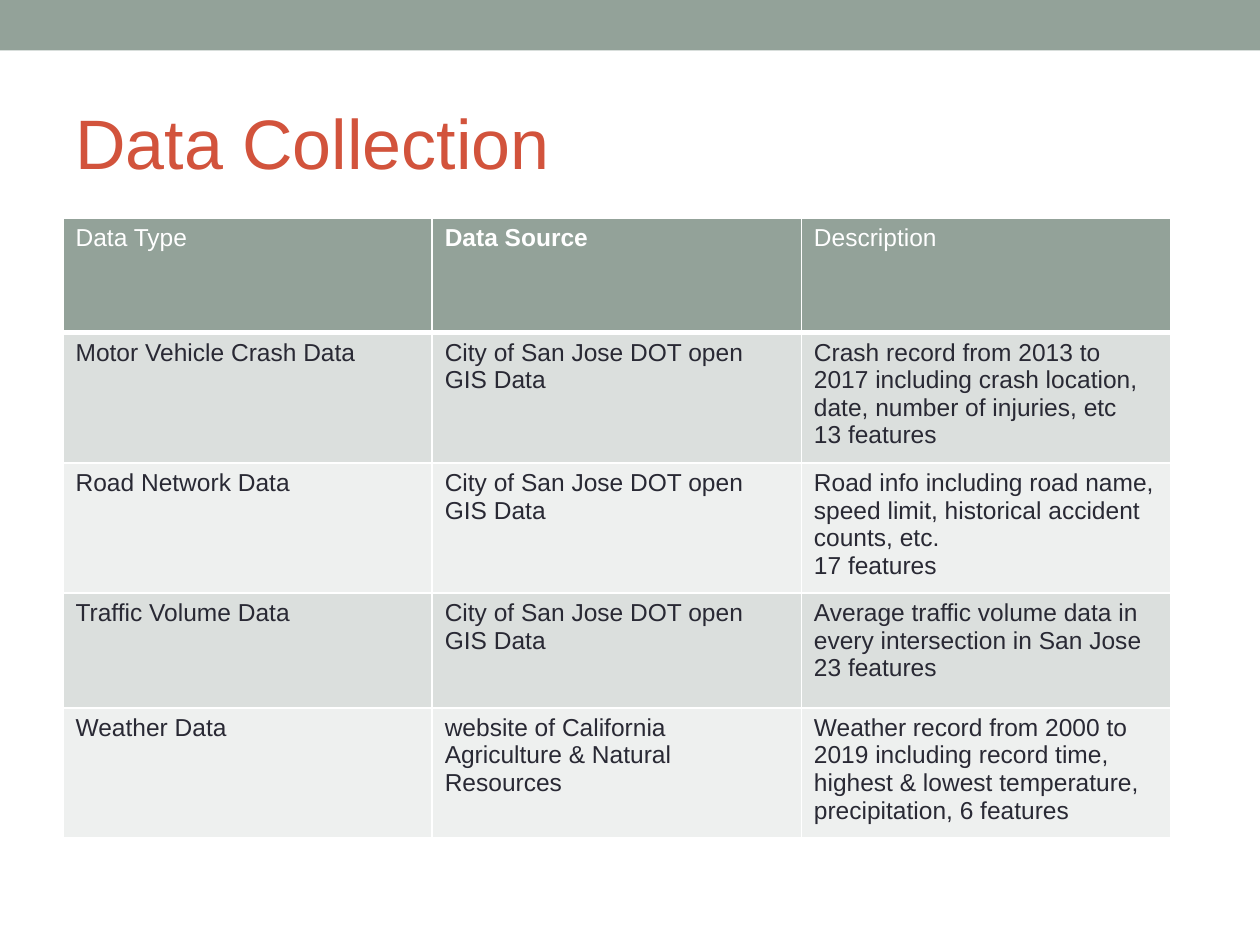
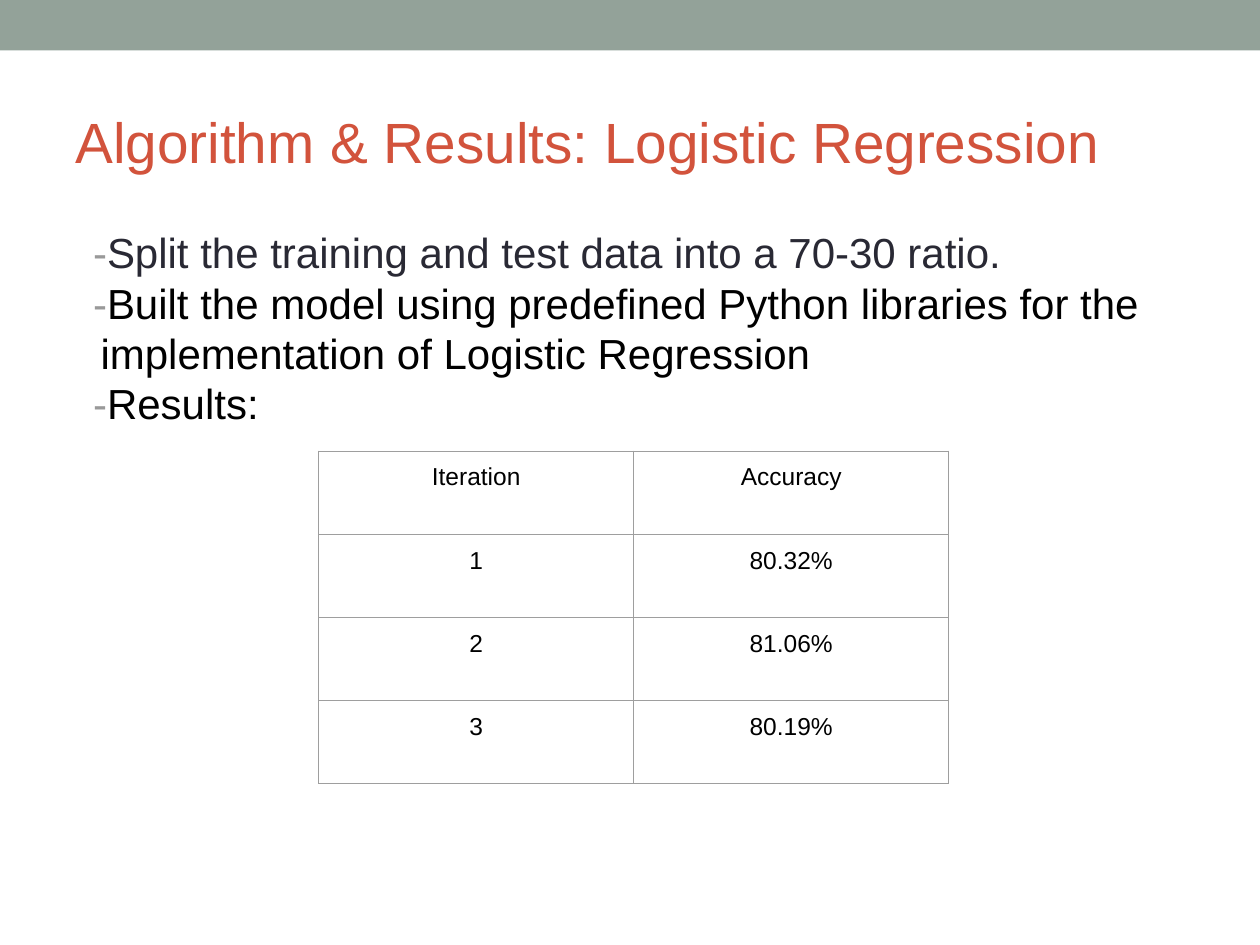
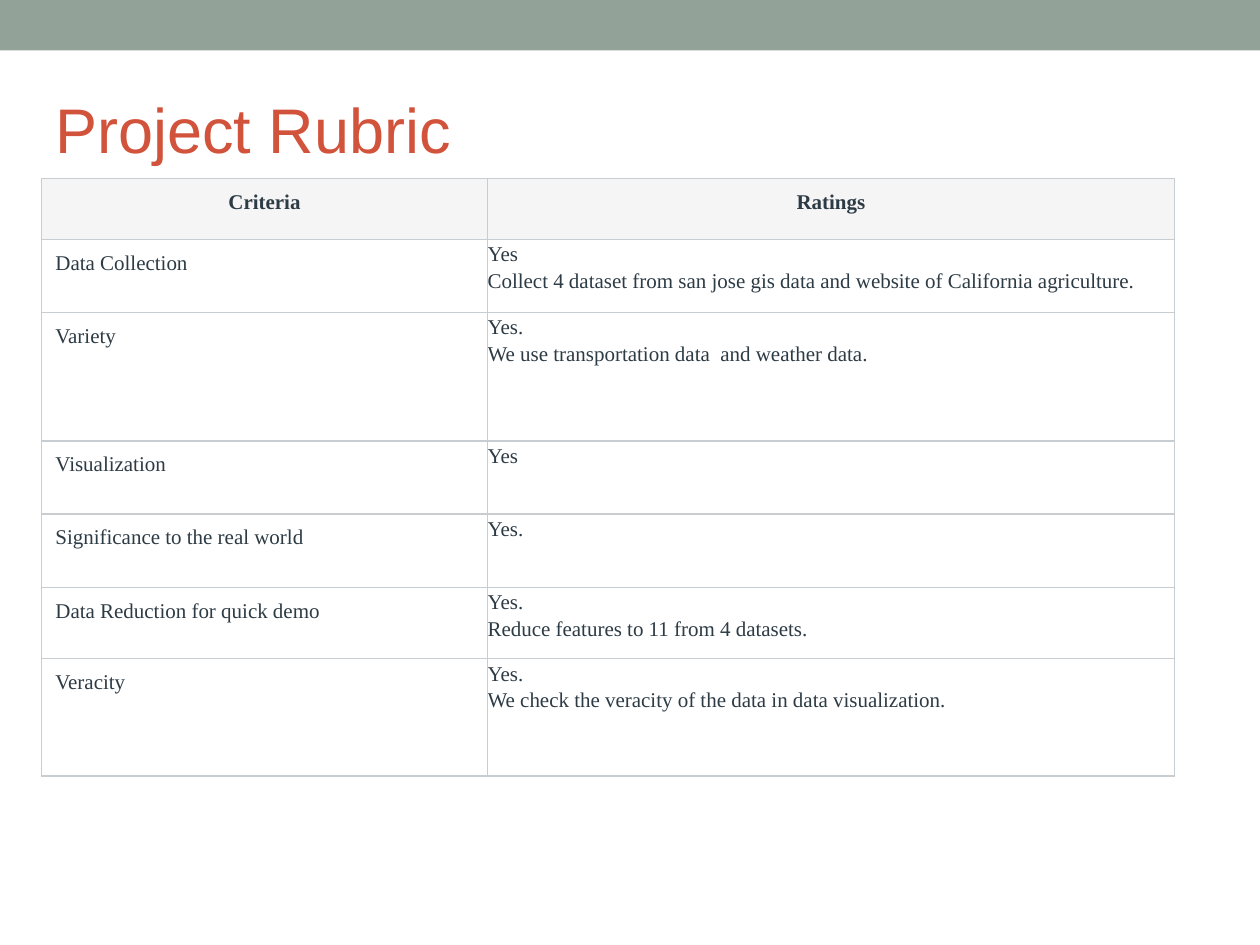
import pptx
import pptx.util
import pptx.dml.color
import pptx.enum.shapes
import pptx.enum.text
import pptx.oxml
import pptx.oxml.ns

Inches = pptx.util.Inches
Pt = pptx.util.Pt
ALIGN = pptx.enum.text.PP_ALIGN
NAMESPACE = pptx.oxml.ns.nsdecls("a")

COLORS = {
    "band": "93A299", "title": "D2533C", "text": "292934", "black": "000000",
    "dash": "999999", "white": "FFFFFF", "row_dark": "DBDFDD", "row_light": "EEF0EF",
    "grid": "9E9E9E", "rubric_text": "2D3B45", "rubric_grid": "C7CDD1", "rubric_head": "F5F5F5",
}

CITY = "City of San Jose DOT open GIS Data"
DATASETS = [
    ["Data Type", "Data Source", "Description"],
    ["Motor Vehicle Crash Data", CITY,
     "Crash record from 2013 to 2017 including crash location, date, number of injuries, etc\n13 features"],
    ["Road Network Data", CITY,
     "Road info including road name, speed limit, historical accident counts, etc.\n17 features"],
    ["Traffic Volume Data", CITY,
     "Average traffic volume data in every intersection in San Jose\n23 features"],
    ["Weather Data", "website of California Agriculture & Natural Resources",
     "Weather record from 2000 to 2019 including record time, highest & lowest temperature, "
     "precipitation, 6 features"],
]
STEPS = [
    ("Split the training and test data into a 70-30 ratio.", "text"),
    ("Built the model using predefined Python libraries for the implementation of Logistic Regression", "black"),
    ("Results:", "black"),
]
ACCURACY = [["Iteration", "Accuracy"], ["1", "80.32%"], ["2", "81.06%"], ["3", "80.19%"]]
RUBRIC = [
    ["Criteria", "Ratings", ""],
    ["Data Collection", "Yes\nCollect 4 dataset from san jose gis data and website of California agriculture.", ""],
    ["Variety", "Yes.\nWe use transportation data  and weather data.", ""],
    ["Visualization", "Yes", ""],
    ["Significance to the real world", "Yes.", ""],
    ["Data Reduction for quick demo", "Yes.\nReduce features to 11 from 4 datasets.", ""],
    ["Veracity", "Yes.\nWe check the veracity of the data in data visualization.", ""],
]


def color(name):
    return pptx.dml.color.RGBColor.from_string(COLORS[name])


def apply(target, values):
    for name, value in values.items():
        setattr(target, name, value)


def set_margins(target, across, down):
    apply(target, {"margin_left": Inches(across), "margin_right": Inches(across),
                   "margin_top": Inches(down), "margin_bottom": Inches(down)})


def add_span(para, text, size, ink, font="Arial", bold=False):
    span = para.add_run()
    span.text = text
    apply(span.font, {"size": Pt(size), "name": font, "bold": bold})
    span.font.color.rgb = color(ink)


def add_text_box(page, left, top, width, height, anchor):
    frame = page.shapes.add_textbox(*map(Inches, (left, top, width, height))).text_frame
    apply(frame, {"word_wrap": True, "vertical_anchor": anchor})
    set_margins(frame, 0.1, 0.05)
    return frame


def add_page(deck, title, size, left=0.5, top=0.58, width=9):
    page = deck.slides.add_slide(deck.slide_layouts[6])
    band = page.shapes.add_shape(pptx.enum.shapes.MSO_SHAPE.RECTANGLE, 0, 0, deck.slide_width, Inches(0.4))
    band.shadow.inherit = False
    band.fill.solid()
    band.fill.fore_color.rgb = color("band")
    band.line.fill.background()
    frame = add_text_box(page, left, top, width, 1.08, pptx.enum.text.MSO_ANCHOR.MIDDLE)
    add_span(frame.paragraphs[0], title, size, "title")
    return page


def set_borders(cell, ink, widths):
    properties = cell._tc.get_or_add_tcPr()
    for index, (side, width) in enumerate(zip("LRTB", widths)):
        paint = f'<a:solidFill><a:srgbClr val="{COLORS[ink]}"/></a:solidFill>' if width else "<a:noFill/>"
        properties.insert(index, pptx.oxml.parse_xml(
            f'<a:ln{side} {NAMESPACE} w="{Pt(width)}">{paint}</a:ln{side}>'))


def add_grid(page, rows, left, top, widths, heights, style):
    table = page.shapes.add_table(len(rows), len(widths), *map(
        Inches, (left, top, sum(widths), sum(heights)))).table
    apply(table, {"first_row": False, "horz_banding": False})
    for column, width in zip(table.columns, widths):
        column.width = Inches(width)
    for r, (texts, height) in enumerate(zip(rows, heights)):
        table.rows[r].height = Inches(height)
        for c, text in enumerate(texts):
            cell = table.cell(r, c)
            look = style(r, c)
            set_margins(cell, *look["margins"])
            if look.get("fill"):
                cell.fill.solid()
                cell.fill.fore_color.rgb = color(look["fill"])
            else:
                cell.fill.background()
            set_borders(cell, *look["borders"])
            for i, line in enumerate(text.split("\n")):
                para = cell.text_frame.add_paragraph() if i else cell.text_frame.paragraphs[0]
                apply(para, look.get("para", {}))
                if line:
                    add_span(para, line, **look["span"])
                para._p.append(pptx.oxml.parse_xml(
                    f'<a:endParaRPr {NAMESPACE} sz="{look["span"]["size"] * 100}"/>'))


def dataset_style(r, c):
    fill = "band" if r == 0 else ("row_light", "row_dark")[r % 2]
    return {"margins": (0.1, 0.05), "fill": fill,
            "borders": ("white", (1, 1, 3 if r == 1 else 1, 3 if r == 0 else 1)),
            "span": {"size": 14, "ink": "text" if r else "white", "bold": (r, c) == (0, 1)}}


def accuracy_style(r, c):
    return {"margins": (0.1, 0.1), "borders": ("grid", [0.75] * 4),
            "para": {"alignment": ALIGN.CENTER}, "span": {"size": 14, "ink": "black"}}


def rubric_style(r, c):
    span = {"size": 12, "ink": "rubric_text", "font": "Times New Roman", "bold": r == 0}
    if c == 2:
        return {"margins": (0.1, 0.05), "borders": ("rubric_grid", [0.75, 0, 0, 0]), "span": span}
    para = {"line_spacing": 1.15}
    if r == 0:
        para["alignment"] = ALIGN.CENTER
    elif c == 0:
        para.update(space_before=Pt(15), space_after=Pt(8))
    return {"margins": (0, 0) if r and c else (0.11, 0.07), "fill": None if r else "rubric_head",
            "borders": ("rubric_grid", [0.75] * 4), "para": para, "span": span}


def add_steps(page):
    frame = add_text_box(page, 0.5, 1.75, 9, 5.33, pptx.enum.text.MSO_ANCHOR.TOP)
    for i, (text, ink) in enumerate(STEPS):
        para = frame.add_paragraph() if i else frame.paragraphs[0]
        para.line_spacing = 1.0
        indents = para._p.get_or_add_pPr()
        indents.set("marL", str(Inches(0.2)))
        indents.set("indent", str(Inches(-0.06)))
        add_span(para, "-", 24, "dash")
        add_span(para, text, 24, ink)


def main():
    deck = pptx.Presentation()
    apply(deck, {"slide_width": Inches(10), "slide_height": Inches(7.5)})

    page = add_page(deck, "Data Collection", 40)
    add_grid(page, DATASETS, 0.5, 1.73, [2.93] * 3, [0.91, 0.88, 0.91, 0.91, 0.91], dataset_style)

    page = add_page(deck, "Algorithm & Results: Logistic Regression", 32.4)
    add_steps(page)
    add_grid(page, ACCURACY, 2.53, 3.58, [2.5] * 2, [0.66] * 4, accuracy_style)

    page = add_page(deck, "Project Rubric", 36, left=0.34, top=0.48, width=7.69)
    add_grid(page, RUBRIC, 0.33, 1.42, [3.54, 5.45, 0.42],
             [0.48, 0.58, 1.02, 0.58, 0.58, 0.57, 0.93], rubric_style)

    deck.save("out.pptx")


if __name__ == "__main__":
    main()
